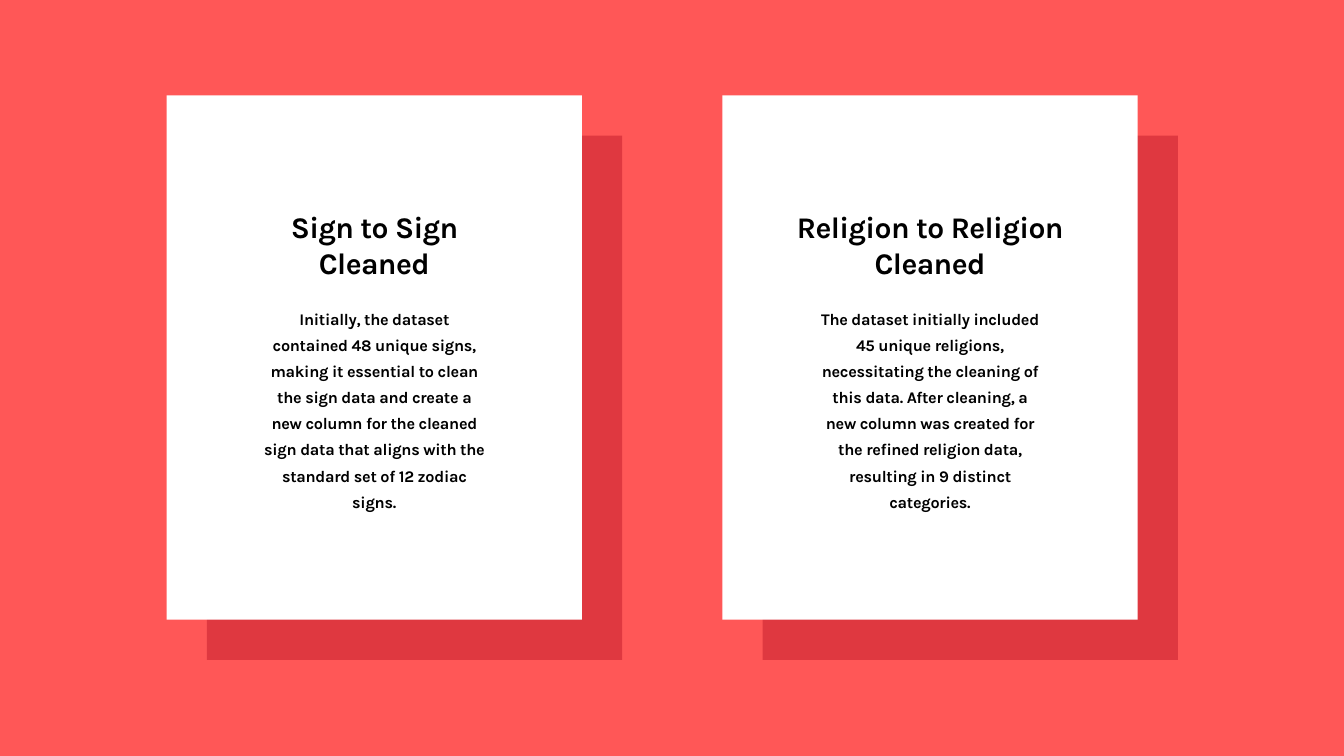
from pptx import Presentation
from pptx.dml.color import RGBColor
from pptx.enum.shapes import MSO_SHAPE
from pptx.enum.text import MSO_AUTO_SIZE, PP_ALIGN
from pptx.util import Inches, Pt

CORAL = RGBColor(0xFF, 0x57, 0x57)
CRIMSON = RGBColor(0xDF, 0x38, 0x40)
WHITE = RGBColor(0xFF, 0xFF, 0xFF)
BLACK = RGBColor(0x00, 0x00, 0x00)

CARD_TOP, CARD_WIDTH, CARD_HEIGHT = 1.42, 6.18, 7.8
FIRST_LEFT, CARD_STEP = 2.48, 8.27
SHADE_OFFSET = 0.6
TITLE_TOP, TITLE_WIDTH, TITLE_HEIGHT = 3.11, 4.18, 1.06
BODY_TOP, BODY_WIDTH, BODY_HEIGHT = 4.51, 3.37, 3.03

CARDS = [
    ("Sign to Sign Cleaned",
     "Initially, the dataset contained 48 unique signs, making it essential "
     "to clean the sign data and create a new column for the cleaned sign "
     "data that aligns with the standard set of 12 zodiac signs."),
    ("Religion to Religion Cleaned",
     "The dataset initially included 45 unique religions, necessitating the "
     "cleaning of this data. After cleaning, a new column was created for "
     "the refined religion data, resulting in 9 distinct categories."),
]


class CardSlide:
    font = "Karla"

    def __init__(self, prs):
        self.slide = prs.slides.add_slide(prs.slide_layouts[6])
        fill = self.slide.background.fill
        fill.solid()
        fill.fore_color.rgb = CORAL

    def panel(self, left, top, color):
        sp = self.slide.shapes.add_shape(
            MSO_SHAPE.RECTANGLE, Inches(left), Inches(top),
            Inches(CARD_WIDTH), Inches(CARD_HEIGHT))
        sp.shadow.inherit = False
        sp.fill.solid()
        sp.fill.fore_color.rgb = color
        sp.line.fill.background()

    def text(self, text, left, top, width, height, size, leading, tracking):
        """Add centred bold text; tracking is in hundredths of a point."""
        box = self.slide.shapes.add_textbox(
            Inches(left), Inches(top), Inches(width), Inches(height))
        tf = box.text_frame
        tf.margin_left = tf.margin_right = tf.margin_top = tf.margin_bottom = 0
        tf.word_wrap = True
        tf.auto_size = MSO_AUTO_SIZE.SHAPE_TO_FIT_TEXT
        tf.text = text
        p = tf.paragraphs[0]
        p.alignment = PP_ALIGN.CENTER
        p.line_spacing = Pt(leading)
        r = p.runs[0]
        r.font.name = self.font
        r.font.size = Pt(size)
        r.font.bold = True
        r.font.color.rgb = BLACK
        r.font._element.set("spc", str(tracking))

    def card(self, left, title, body):
        self.panel(left + SHADE_OFFSET, CARD_TOP + SHADE_OFFSET, CRIMSON)
        self.panel(left, CARD_TOP, WHITE)
        center = left + CARD_WIDTH / 2
        self.text(title, center - TITLE_WIDTH / 2, TITLE_TOP,
                  TITLE_WIDTH, TITLE_HEIGHT, 32.1, 38.5, -60)
        self.text(body, center - BODY_WIDTH / 2, BODY_TOP,
                  BODY_WIDTH, BODY_HEIGHT, 17.4, 27.9, -30)


def main():
    prs = Presentation()
    prs.slide_width = Inches(20)
    prs.slide_height = Inches(11.25)
    s = CardSlide(prs)
    for i, (title, body) in enumerate(CARDS):
        s.card(FIRST_LEFT + i * CARD_STEP, title, body)
    prs.save("out.pptx")


if __name__ == "__main__":
    main()
